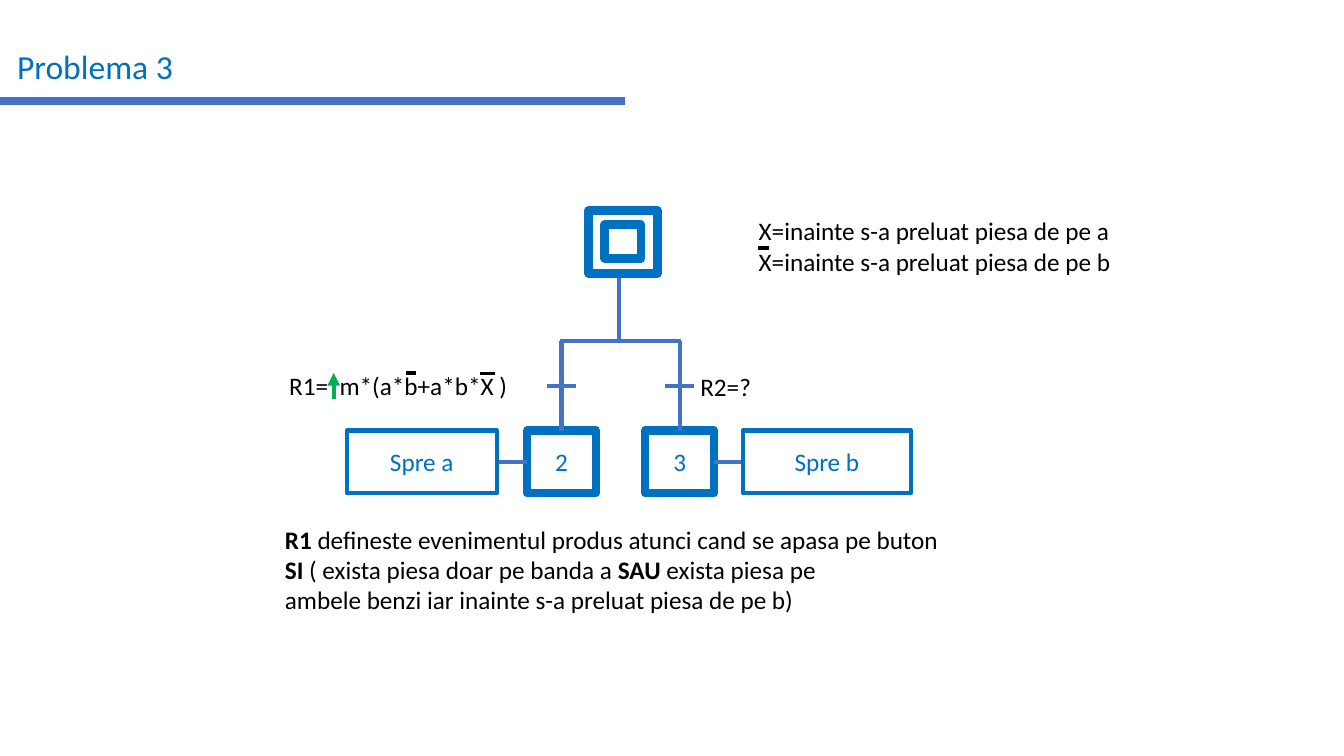
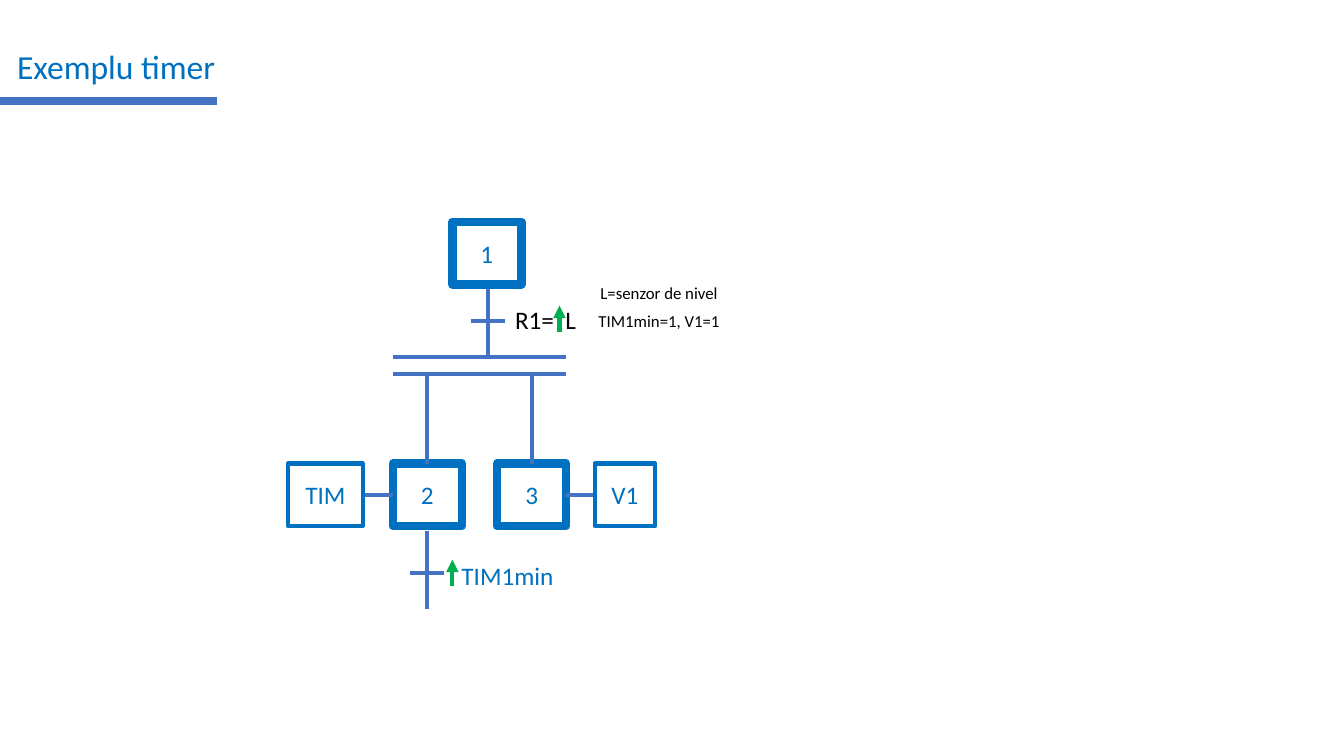
"""Builds two slides with sequential function charts."""
from dataclasses import dataclass

from lxml.etree import SubElement
from pptx import Presentation
from pptx.dml.color import RGBColor
from pptx.enum.shapes import MSO_CONNECTOR as Connector, MSO_SHAPE as Shape
from pptx.enum.text import MSO_ANCHOR as Anchor, PP_ALIGN as Align
from pptx.oxml.ns import qn
from pptx.util import Cm, Pt


@dataclass(frozen=True)
class Theme:
    font: str = "Calibri"
    blue: str = "0070C0"
    line: str = "4472C4"
    green: str = "00B050"
    black: str = "000000"
    white: str = "FFFFFF"
    title_size: float = 24
    body_size: float = 18
    small_size: float = 12
    thick: float = 6
    medium: float = 3
    thin: float = 2.25


THEME = Theme()
STEP_WIDTH, STEP_HEIGHT = 1.74, 1.58
ARROW_LENGTH = 0.66
SMALL = {"size": THEME.small_size, "align": Align.CENTER, "anchor": Anchor.MIDDLE}
WIDE_SPACE = (" ", False, 4)

CHARTS = [
    {
        "title": "Problema 3",
        "underline": 15.75,
        "steps": [("3", 17.13, 10.85), ("2", 14.15, 10.85), ("", 15.7, 5.31)],
        "inner_frames": [(15.24, 5.66, 0.91, 0.86)],
        "actions": [("Spre b", 17.13, 18.72, 4.24), ("Spre a", 14.15, 8.74, 3.78)],
        "action_top": 10.85,
        "verticals": [(15.6, 7, 8.59), (14.15, 8.59, 10.85), (17.13, 8.59, 10.85)],
        "bars": [(14.1, 17.17, 8.59)],
        "ticks": [(14.15, 9.73), (17.13, 9.73)],
        "tick_width": 0.72,
        "arrows": [(8.41, 9.4)],
        "overbars": [(19.1, 19.38, 6.25), (10.24, 10.49, 9.4), (12.09, 12.47, 9.42)],
        "notes": [
            ([[("R1=",), WIDE_SPACE, ("m*(a*b+a*b*X )",)]], (7.04, 9.2, 7.98, 1.02), {}),
            (["X=inainte s-a preluat piesa de pe a",
              "X=inainte s-a preluat piesa de pe b"], (18.87, 5.31, 13.2, 1.8), {}),
            (["R2=?"], (17.4, 9.22, 2.2, 1.02), {}),
            ([[("R1 ", True), ("defineste evenimentul produs atunci cand se apasa pe buton",)],
              [("SI", True), (" ( exista piesa doar pe banda a ",), ("SAU ", True),
               ("exista piesa pe",)],
              "ambele benzi iar inainte s-a preluat piesa de pe b)"],
             (6.93, 13.08, 17.8, 2.56), {}),
        ],
    },
    {
        "title": "Exemplu timer",
        "underline": 5.46,
        "steps": [("3", 13.4, 11.68), ("2", 10.77, 11.68), ("1", 12.27, 5.59)],
        "inner_frames": [],
        "actions": [("V1", 13.4, 14.99, 1.52), ("TIM", 10.77, 7.26, 1.88)],
        "action_top": 11.68,
        "verticals": [(12.29, 7.27, 8.99), (10.77, 9.42, 11.68),
                      (13.4, 9.42, 11.68), (10.77, 13.39, 15.34)],
        "bars": [(9.91, 14.27, 8.99), (9.91, 14.27, 9.42)],
        "ticks": [(12.29, 8.08), (10.77, 14.43)],
        "tick_width": 0.86,
        "arrows": [(14.1, 7.7), (11.4, 14.1)],
        "overbars": [],
        "notes": [
            ([[("R1=",), WIDE_SPACE, ("L",)]], (12.73, 7.54, 3.07, 1.02), {}),
            (["TIM1min=1, V1=1"], (14.73, 7.57, 3.76, 1.02), SMALL),
            (["L=senzor de nivel"], (14.73, 6.86, 3.76, 1.02), SMALL),
            (["TIM1min"], (11.38, 14, 3, 1.02), {"color": THEME.blue}),
        ],
    },
]


def rgb(color):
    return RGBColor.from_string(color)


def write(shape, lines, size=THEME.body_size, color=THEME.black, align=Align.LEFT,
          anchor=Anchor.TOP):
    frame = shape.text_frame
    frame.word_wrap = True
    frame.vertical_anchor = anchor
    for index, line in enumerate(lines):
        paragraph = frame.add_paragraph() if index else frame.paragraphs[0]
        paragraph.alignment = align
        for text, *style in [(line,)] if isinstance(line, str) else line:
            bold, spacing = (style + [False, 0])[:2] if len(style) < 2 else style
            run = paragraph.add_run()
            run.text = text
            font = run.font
            font.name, font.size, font.bold = THEME.font, Pt(size), bool(bold)
            font.color.rgb = rgb(color)
            if spacing:
                run._r.get_or_add_rPr().set("spc", str(spacing * 100))


def add_text(slide, lines, box, **text_format):
    write(slide.shapes.add_textbox(*map(Cm, box)), lines, **text_format)


def add_box(slide, label, box, weight):
    shape = slide.shapes.add_shape(Shape.RECTANGLE, *map(Cm, box))
    shape.shadow.inherit = False
    shape.fill.solid()
    shape.fill.fore_color.rgb = rgb(THEME.white)
    shape.line.color.rgb = rgb(THEME.blue)
    shape.line.width = Pt(weight)
    if label:
        write(shape, [label], color=THEME.blue, align=Align.CENTER, anchor=Anchor.MIDDLE)


def add_line(slide, start, end, color=THEME.line, weight=THEME.medium, arrow=False):
    connector = slide.shapes.add_connector(
        Connector.STRAIGHT, *map(Cm, (*start, *end)))
    connector.line.color.rgb = rgb(color)
    connector.line.width = Pt(weight)
    if arrow:
        SubElement(connector.line._get_or_add_ln(), qn("a:tailEnd"), type="triangle")
    SubElement(connector._element.spPr, qn("a:effectLst"))


def add_header(slide, title, underline):
    add_text(slide, [title], (0.18, 1.04, 5.69, 1.27),
             size=THEME.title_size, color=THEME.blue)
    add_line(slide, (0, 2.54), (underline, 2.54), weight=THEME.thick)


def add_action(slide, label, step_center, left, width, top):
    middle = top + STEP_HEIGHT / 2
    if left > step_center:
        start, end = step_center + STEP_WIDTH / 2, left
    else:
        start, end = step_center - STEP_WIDTH / 2, left + width
    add_line(slide, (start, middle), (end, middle))
    add_box(slide, label, (left, top, width, STEP_HEIGHT), THEME.medium)


def add_chart_slide(presentation, chart):
    slide = presentation.slides.add_slide(presentation.slide_layouts[6])
    add_header(slide, chart["title"], chart["underline"])
    for label, center, top in chart["steps"]:
        add_box(slide, label, (center - STEP_WIDTH / 2, top, STEP_WIDTH, STEP_HEIGHT),
                THEME.thick)
    for frame in chart["inner_frames"]:
        add_box(slide, "", frame, THEME.thick)
    for action in chart["actions"]:
        add_action(slide, *action, chart["action_top"])
    for x, top, bottom in chart["verticals"]:
        add_line(slide, (x, top), (x, bottom))
    for left, right, y in chart["bars"]:
        add_line(slide, (left, y), (right, y))
    half = chart["tick_width"] / 2
    for x, y in chart["ticks"]:
        add_line(slide, (x - half, y), (x + half, y))
    for lines, box, text_format in chart["notes"]:
        add_text(slide, lines, box, **text_format)
    for x, top in chart["arrows"]:
        add_line(slide, (x, top + ARROW_LENGTH), (x, top), color=THEME.green, arrow=True)
    for left, right, y in chart["overbars"]:
        add_line(slide, (left, y), (right, y), color=THEME.black, weight=THEME.thin)


def main():
    presentation = Presentation()
    presentation.slide_width, presentation.slide_height = Cm(33.87), Cm(19.05)
    for chart in CHARTS:
        add_chart_slide(presentation, chart)
    presentation.save("out.pptx")


if __name__ == "__main__":
    main()
